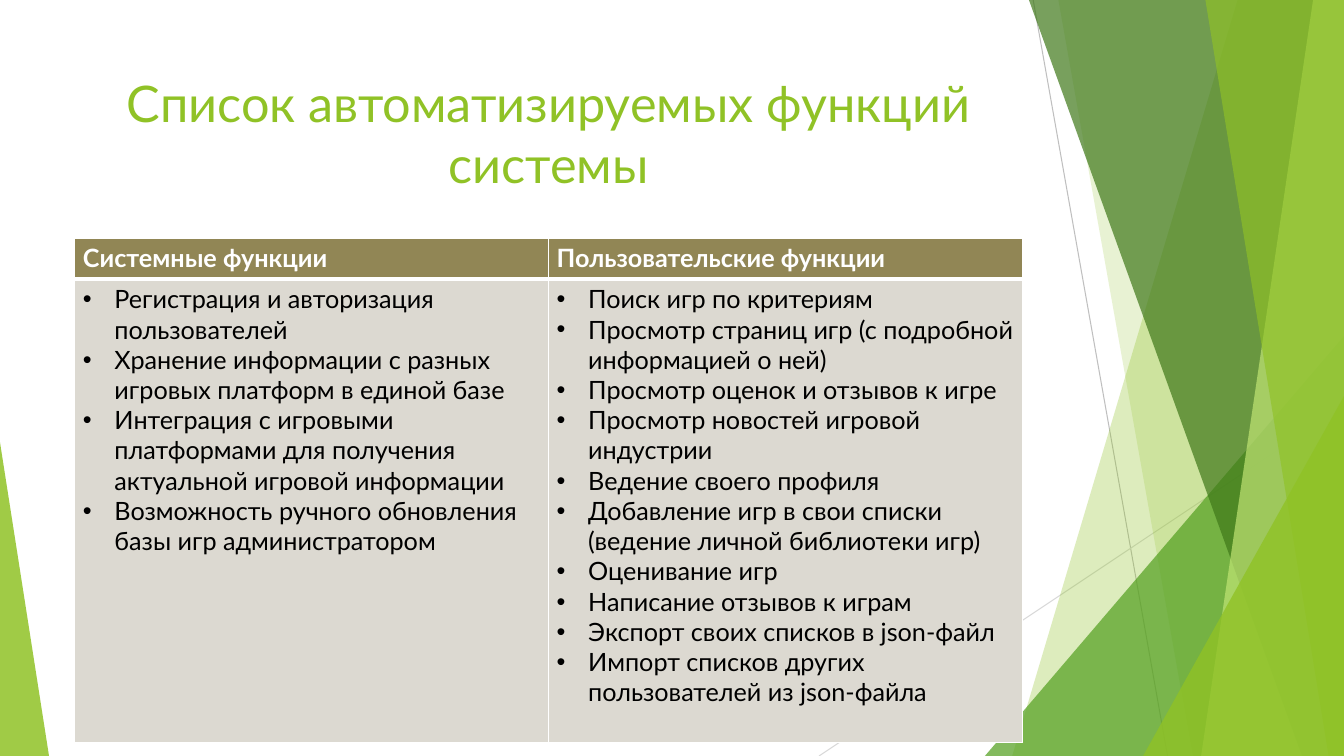
"""Build the slide that lists the automated functions of the system."""
from lxml.etree import SubElement as Sub
from pptx import Presentation
from pptx.dml.color import RGBColor as Rgb
from pptx.enum.shapes import MSO_CONNECTOR as Line, MSO_SHAPE as Kind
from pptx.enum.text import MSO_ANCHOR as Anchor, MSO_AUTO_SIZE as Fit, PP_ALIGN as Align
from pptx.oxml.ns import qn
from pptx.util import Pt

FONT = "Lato"
INK = {
    "lime": "90C226", "green": "54A021", "dark": "3F7819", "pale": "C0E474",
    "gray": "BFBFBF", "light": "D9D9D9", "olive": "918655", "sand": "DCD9D1",
    "white": "FFFFFF", "black": "000000",
}


def paint(shape, tint, alpha):
    shape.shadow.inherit = False
    shape.line.fill.background()
    shape.fill.solid()
    shape.fill.fore_color.rgb = Rgb.from_string(INK[tint])
    clr = shape._element.spPr.find(qn("a:solidFill"))[0]
    Sub(clr, qn("a:alpha"), val=str(alpha * 1000))


def style(para, size, tint, bold=False):
    para.font.name = FONT
    para.font.size = Pt(size)
    para.font.bold = bold
    para.font.color.rgb = Rgb.from_string(INK[tint])


deck = Presentation()
deck.slide_width, deck.slide_height = Pt(960), Pt(540)
slide = deck.slides.add_slide(deck.slide_layouts[5])
shapes = slide.shapes

rays = [((738, 0, 834, 540), "gray"), ((960, 290, 585, 540), "light")]
for ends, tint in rays:
    ray = shapes.add_connector(Line.STRAIGHT, *[Pt(v) for v in ends])
    ray.line.width = Pt(0.75)
    ray.line.color.rgb = Rgb.from_string(INK[tint])
    Sub(ray._element.spPr, qn("a:effectLst"))

decor = [
    ("band", (884, 723), "lime", 30),
    ("band", (756, 852), "lime", 20),
    ("wedge", (703.5, 240, 256.5, 300, 1), "green", 72),
    ("band", (735, 930), "dark", 70),
    ("band", (938, 858), "pale", 70),
    ("band", (861, 949), "lime", 65),
    ("wedge", (816.5, 283, 143.5, 257, 1), "lime", 80),
    ("wedge", (0, 316, 35, 224, 0), "lime", 85),
]
for kind, geo, tint, alpha in decor:
    if kind == "band":
        top, low = geo
        pen = shapes.build_freeform(Pt(top), 0)
        pen.add_line_segments([(Pt(960), 0), (Pt(960), Pt(540)), (Pt(low), Pt(540))])
        part = pen.convert_to_shape()
    else:
        *box, apex = geo
        part = shapes.add_shape(Kind.ISOSCELES_TRIANGLE, *[Pt(v) for v in box])
        part.adjustments[0] = apex
    paint(part, tint, alpha)

title = shapes.title
title.left, title.top, title.width, title.height = Pt(53.5), Pt(48), Pt(676.8), Pt(104)
title.text = "Список автоматизируемых функций системы"
frame = title.text_frame
frame.auto_size, frame.vertical_anchor = Fit.NONE, Anchor.TOP
frame.paragraphs[0].alignment = Align.CENTER
style(frame.paragraphs[0], 36, "lime")

lists = {
    "Системные функции": [
        "Регистрация и авторизация пользователей",
        "Хранение информации с разных игровых платформ в единой базе",
        "Интеграция с игровыми платформами для получения актуальной игровой информации",
        "Возможность ручного обновления базы игр администратором",
    ],
    "Пользовательские функции": [
        "Поиск игр по критериям",
        "Просмотр страниц игр (с подробной информацией о ней)",
        "Просмотр оценок и отзывов к игре",
        "Просмотр новостей игровой индустрии",
        "Ведение своего профиля",
        "Добавление игр в свои списки (ведение личной библиотеки игр)",
        "Оценивание игр",
        "Написание отзывов к играм",
        "Экспорт своих списков в json-файл",
        "Импорт списков других пользователей из json-файла",
    ],
}
table = shapes.add_table(2, 2, Pt(53.5), Pt(170), Pt(676.8), Pt(360.5)).table
table.rows[0].height, table.rows[1].height = Pt(29.2), Pt(331.3)

for col, (head, items) in enumerate(lists.items()):
    for row, lines in enumerate([[head], items]):
        cell = table.cell(row, col)
        cell.margin_left = cell.margin_right = Pt(5.8)
        cell.margin_top = cell.margin_bottom = Pt(3.6)
        cell.text = "\n".join(lines)
        for para in cell.text_frame.paragraphs:
            style(para, 18, "black" if row else "white", row == 0)
            if row:
                props = para._p.get_or_add_pPr()
                props.set("marL", str(Pt(22.5)))
                props.set("indent", str(Pt(-22.5)))
                mark = Sub(props, qn("a:buFont"), typeface="Arial")
                mark.addnext(props.makeelement(qn("a:buChar"), char="•"))
                props.append(props.find(qn("a:defRPr")))
        edge = cell._tc.get_or_add_tcPr()
        thick = "lnT" if row else "lnB"
        for side in ("lnL", "lnR", "lnT", "lnB"):
            rule = Sub(edge, qn("a:" + side), w=str(Pt(3 if side == thick else 1)))
            Sub(Sub(rule, qn("a:solidFill")), qn("a:srgbClr"), val=INK["white"])
        cell.fill.solid()
        cell.fill.fore_color.rgb = Rgb.from_string(INK["sand" if row else "olive"])

deck.save("out.pptx")
